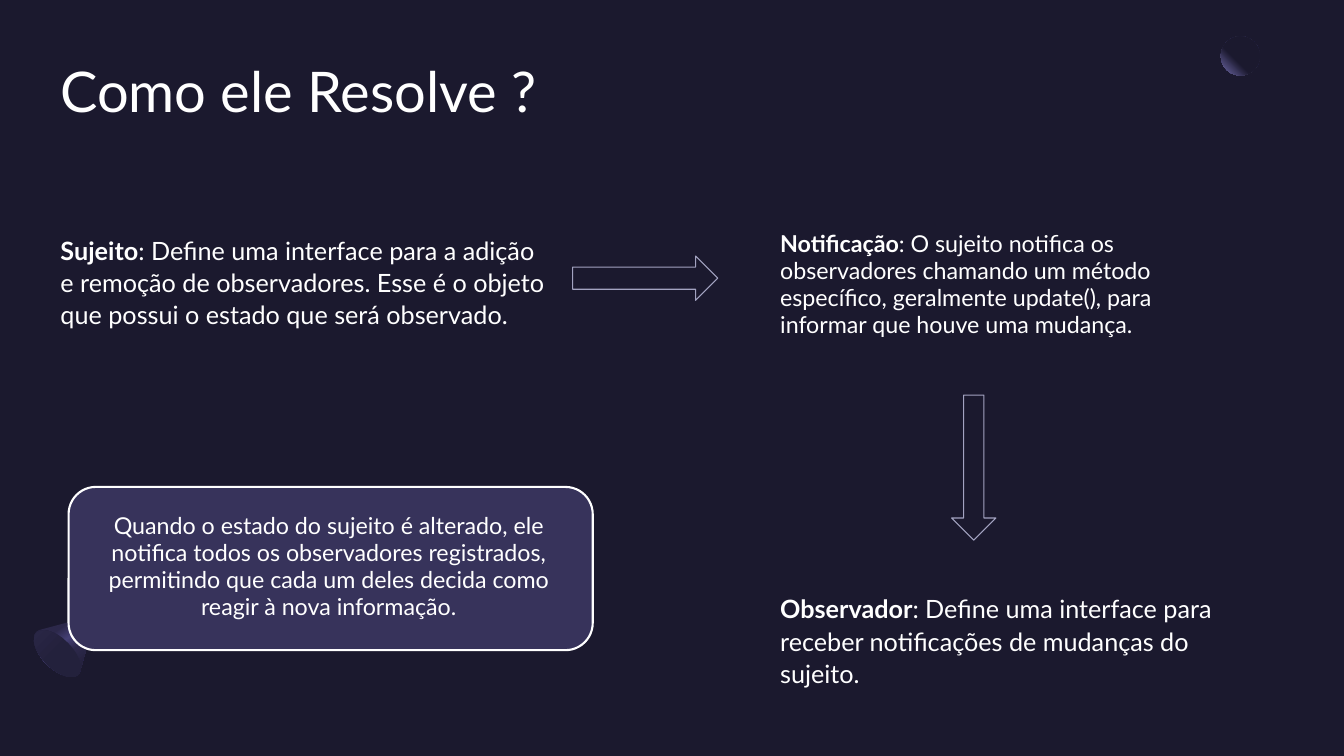
from dataclasses import dataclass

from lxml import etree
from pptx import Presentation
from pptx.dml.color import RGBColor
from pptx.enum import shapes, text
from pptx.oxml import ns
from pptx.util import Pt


@dataclass(frozen=True)
class Theme:
    font: str = "Lato"
    background: str = "1B192E"
    ink: str = "FFFFFF"
    card: str = "37335B"
    arrow: str = "A3A3C1"
    moon: str = "7771B2"
    cone: str = "2C284A"
    cone_glow: str = "454075"
    rim: str = "23213C"
    title: float = 40
    body: float = 18
    compact: float = 16.6


THEME = Theme()


def color(value):
    return RGBColor.from_string(value)


def style_shape(shape, fill=None, line=None, width=0.75):
    shape.shadow.inherit = False
    if fill:
        shape.fill.solid()
        shape.fill.fore_color.rgb = color(fill)
    else:
        shape.fill.background()
    if line:
        shape.line.color.rgb = color(line)
        shape.line.width = Pt(width)
    else:
        shape.line.fill.background()


def add_shape(slide, kind, box, rotation=0, **style):
    shape = slide.shapes.add_shape(kind, *map(Pt, box))
    shape.rotation = rotation
    style_shape(shape, **style)
    return shape


def set_gradient(shape, stops, angle=None, focus=None):
    gradient = etree.Element(ns.qn("a:gradFill"), rotWithShape="1")
    stop_list = etree.SubElement(gradient, ns.qn("a:gsLst"))
    for position, value in stops:
        stop = etree.SubElement(stop_list, ns.qn("a:gs"), pos=str(position * 1000))
        etree.SubElement(stop, ns.qn("a:srgbClr"), val=value)
    if focus:
        radial = etree.SubElement(gradient, ns.qn("a:path"), path="circle")
        edges = {side: str(share * 1000) for side, share in zip("ltrb", focus)}
        etree.SubElement(radial, ns.qn("a:fillToRect"), edges)
    else:
        etree.SubElement(gradient, ns.qn("a:lin"), ang=str(angle * 60000), scaled="0")
    properties = shape.element.spPr
    properties.replace(properties.find(ns.qn("a:noFill")), gradient)


def curve(start, first, second, end, steps=8):
    for step in range(1, steps + 1):
        t = step / steps
        weights = ((1 - t) ** 3, 3 * t * (1 - t) ** 2, 3 * t * t * (1 - t), t ** 3)
        yield tuple(
            sum(w * c for w, c in zip(weights, axis))
            for axis in zip(start, first, second, end)
        )


def add_text(slide, words, box, size=THEME.body, lead="", spacing=None, align=None):
    frame = slide.shapes.add_textbox(*map(Pt, box)).text_frame
    frame.word_wrap = True
    frame.margin_left = frame.margin_top = frame.margin_right = frame.margin_bottom = 0
    frame.vertical_anchor = text.MSO_ANCHOR.TOP
    paragraph = frame.paragraphs[0]
    paragraph.alignment = align or text.PP_ALIGN.LEFT
    paragraph.line_spacing = spacing
    for content, bold in ((lead, True), (words, False)):
        if content:
            run = paragraph.add_run()
            run.text = content
            run.font.name = THEME.font
            run.font.size = Pt(size)
            run.font.bold = bold
            run.font.color.rgb = color(THEME.ink)


def add_moon(slide):
    moon = add_shape(slide, shapes.MSO_SHAPE.OVAL, (872, 26, 28, 28))
    set_gradient(moon, [(60, THEME.background), (100, THEME.moon)], focus=(100, 0, 0, 100))


def add_cone(slide):
    apex, right, base, left = (68.4, 439.2), (56.2, 481.7), (33.1, 474.5), (25.9, 451.4)
    outline = [
        (57.2, 479.5),
        right,
        *curve(right, (51.8, 486), (41.8, 482.4), base),
        *curve(base, (25.2, 465.8), (21.6, 455.8), left),
        (28.1, 450),
    ]
    builder = slide.shapes.build_freeform(*map(Pt, apex))
    builder.add_line_segments([tuple(map(Pt, point)) for point in outline])
    cone = builder.convert_to_shape()
    style_shape(cone)
    stops = [(30, THEME.cone), (45, THEME.cone_glow), (60, THEME.cone), (100, THEME.background)]
    set_gradient(cone, stops, angle=55)
    rim = add_shape(slide, shapes.MSO_SHAPE.OVAL, (30.2, 445.7, 21.6, 42.5), rotation=135)
    set_gradient(rim, [(50, THEME.rim), (100, THEME.cone)], angle=90)


def add_arrow(slide, left, top, rotation=0, shaft=0.5):
    arrow = add_shape(slide, shapes.MSO_SHAPE.RIGHT_ARROW, (left, top, 103.7, 31.7),
                      rotation=rotation, line=THEME.arrow)
    arrow.adjustments[0] = shaft


def main():
    deck = Presentation()
    deck.slide_width, deck.slide_height = Pt(960), Pt(540)
    slide = deck.slides.add_slide(deck.slide_layouts[6])
    slide.background.fill.solid()
    slide.background.fill.fore_color.rgb = color(THEME.background)

    add_moon(slide)
    add_cone(slide)
    add_text(slide, "Como ele Resolve ?", (43.2, 40.3, 873.4, 105.1), size=THEME.title)
    add_text(slide, ": Define uma interface para a adição e remoção de observadores. "
             "Esse é o objeto que possui o estado que será observado.",
             (43.2, 166.3, 347, 79.2), lead="Sujeito", spacing=1.07)
    add_text(slide, ": O sujeito notifica os observadores chamando um método específico, "
             "geralmente update(), para informar que houve uma mudança.",
             (557.3, 164.9, 308.2, 79.2), size=THEME.compact, lead="Notificação", spacing=0.97)
    add_text(slide, ": Define uma interface para receber notificações de mudanças do sujeito.",
             (557.3, 422.6, 321.1, 79.2), lead="Observador", spacing=1.07)
    add_arrow(slide, 409, 182.9)
    add_arrow(slide, 643.7, 318.2, rotation=90, shaft=0.455)
    add_shape(slide, shapes.MSO_SHAPE.ROUNDED_RECTANGLE, (49, 347.8, 374.4, 116.6),
              fill=THEME.card, line=THEME.ink, width=1.5)
    add_text(slide, "Quando o estado do sujeito é alterado, ele notifica todos os observadores "
             "registrados, permitindo que cada um deles decida como reagir à nova informação.",
             (61.2, 366.5, 347, 79.2), size=THEME.compact, spacing=0.97,
             align=text.PP_ALIGN.CENTER)
    deck.save("out.pptx")


if __name__ == "__main__":
    main()
